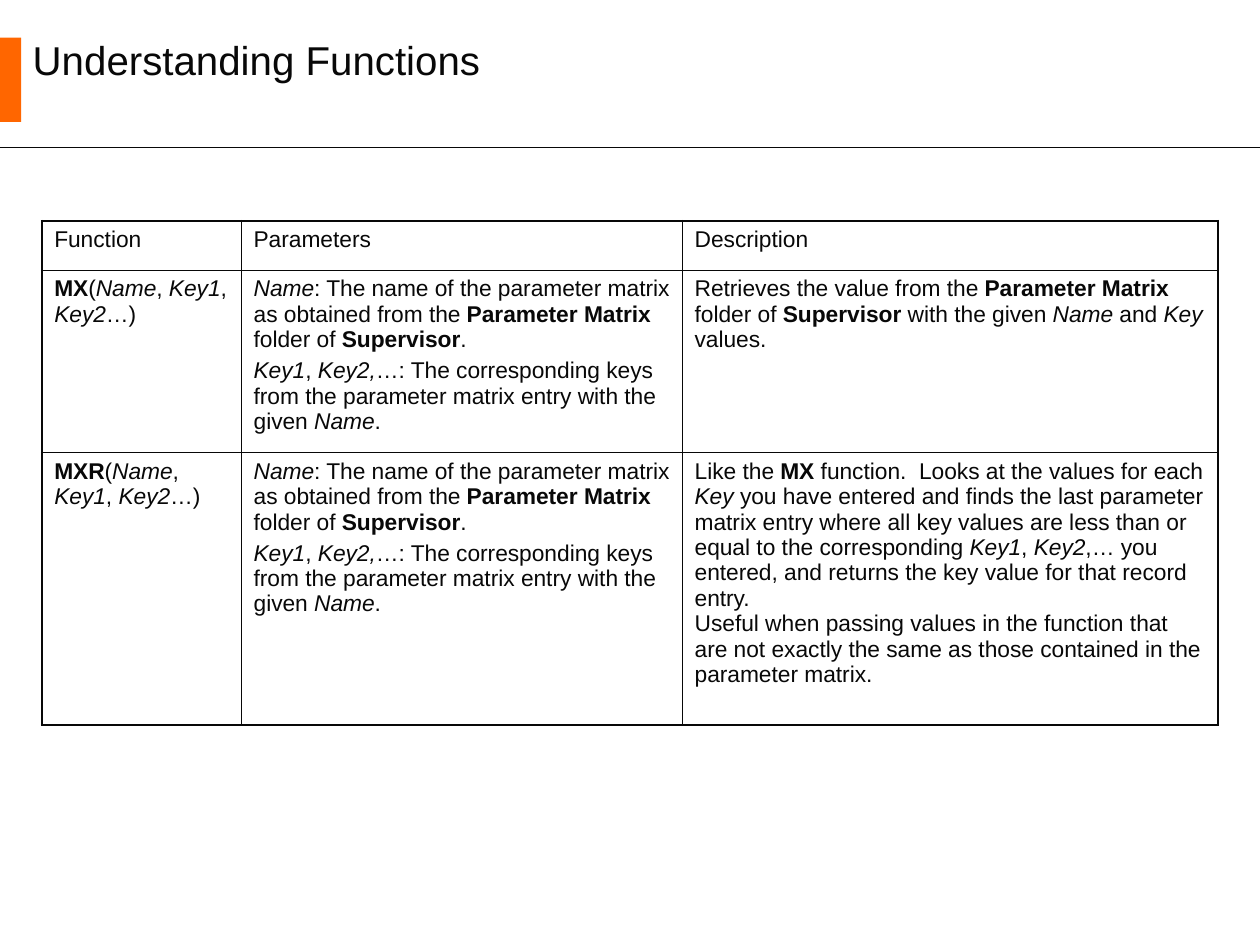
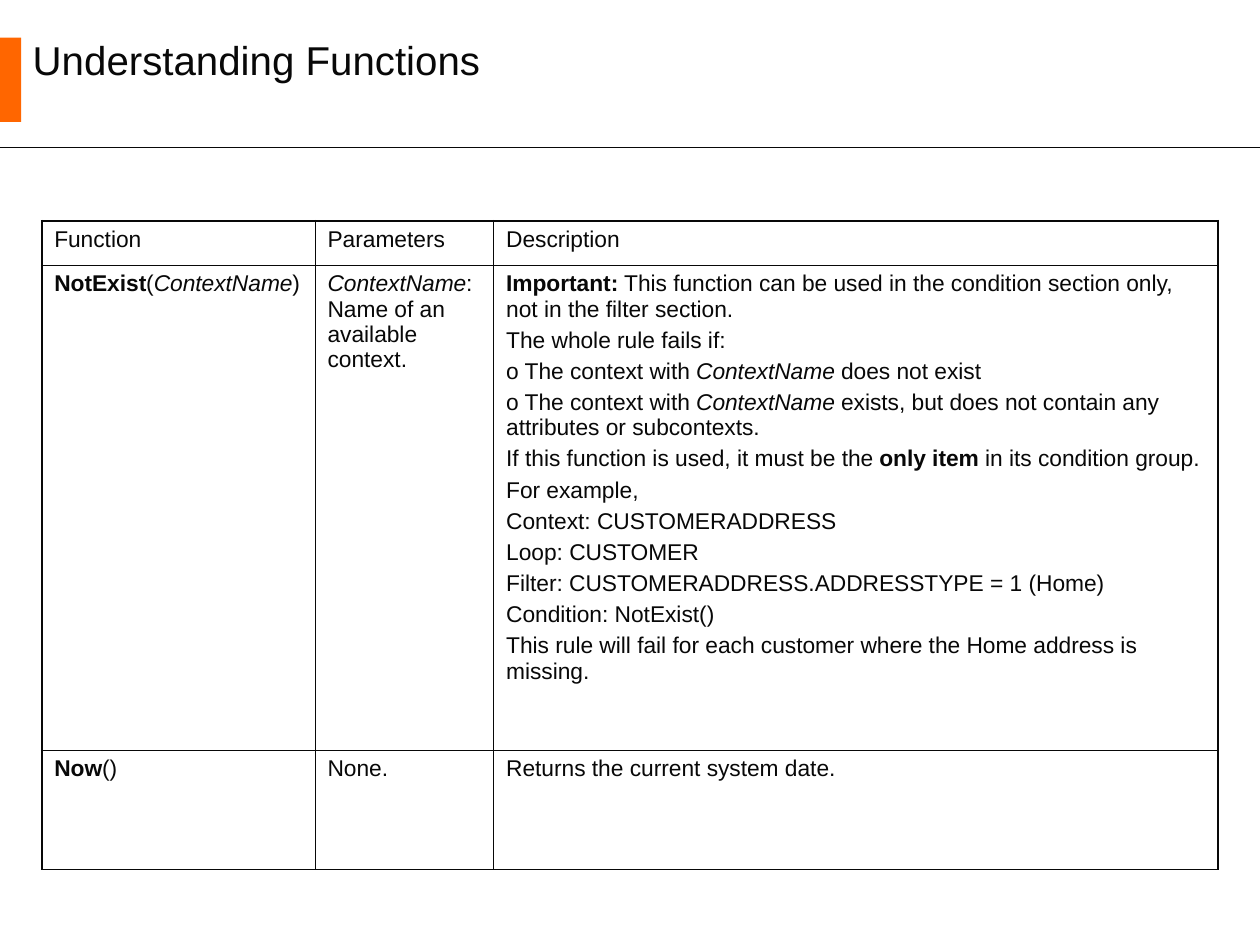
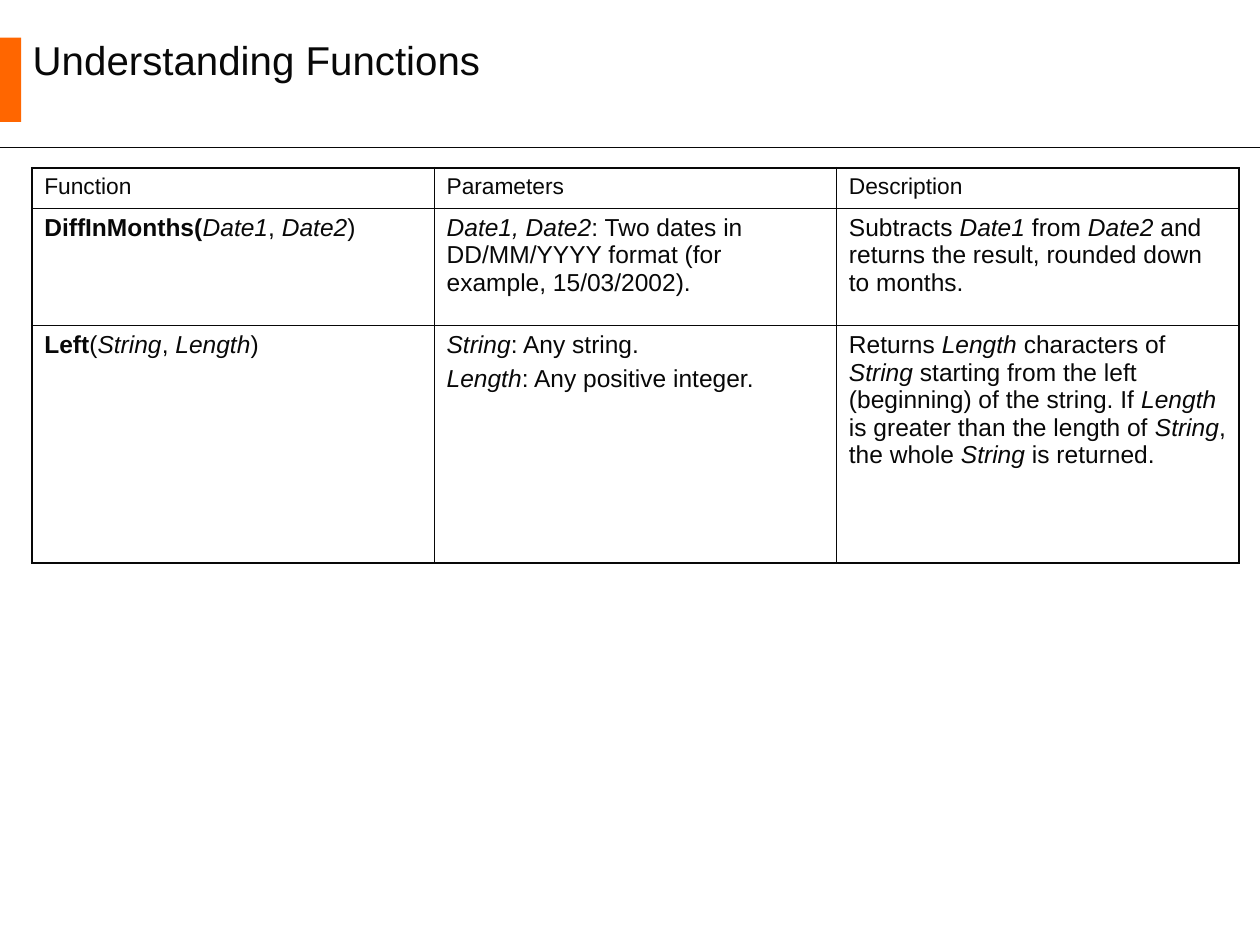
from lxml import etree
from pptx import Presentation
from pptx import util as u
from pptx.dml.color import RGBColor
from pptx.enum import shapes, text
from pptx.oxml import ns

INK = RGBColor(0x08, 0x08, 0x08)
ORANGE = RGBColor(0xFF, 0x66, 0x00)
FONT = "Arial"
WIDE, HIGH = 25.4, 19.05
THIN, THICK = 0.45, 1.08
HEAD = ["Function", "Parameters", "Description"]

# Cell text: *bold*, _italic_, one line for each paragraph
MATRIX = (
    "_Name_: The name of the parameter matrix as obtained from the "
    "*Parameter Matrix* folder of *Supervisor*.\n"
    "_Key1_, _Key2,_…: The corresponding keys from the parameter matrix "
    "entry with the given _Name_."
)
LOOKUP = [
    ["*MX*(_Name_, _Key1_, _Key2_…)", MATRIX,
     "Retrieves the value from the *Parameter Matrix* folder of *Supervisor* "
     "with the given _Name _and _Key_ values."],
    ["*MXR*(_Name_, _Key1_, _Key2_…)", MATRIX,
     "Like the *MX* function.  Looks at the values for each _Key_ you have "
     "entered and finds the last parameter matrix entry where all key values "
     "are less than or equal to the corresponding _Key1_, _Key2_,… you "
     "entered, and returns the key value for that record entry.\n"
     "Useful when passing values in the function that are not exactly the "
     "same as those contained in the parameter matrix."],
]
CONTEXT = [
    ["*NotExist*(_ContextName_)",
     "_ContextName_: Name of an available context.",
     "*Important:* This function can be used in the condition section only, "
     "not in the filter section.\n"
     "The whole rule fails if:\n"
     "o The context with _ContextName_ does not exist\n"
     "o The context with _ContextName_ exists, but does not contain any "
     "attributes or subcontexts.\n"
     "If this function is used, it must be the *only item* in its condition "
     "group.\n"
     "For example,\n"
     "Context: CUSTOMERADDRESS\n"
     "Loop: CUSTOMER\n"
     "Filter: CUSTOMERADDRESS.ADDRESSTYPE = 1 (Home)\n"
     "Condition: NotExist()\n"
     "This rule will fail for each customer where the Home address is missing."],
    ["*Now*()", "None.", "Returns the current system date."],
]
DATES = [
    ["*DiffInMonths(*_Date1_, _Date2_)",
     "_Date1, Date2_: Two dates in DD/MM/YYYY format (for example, 15/03/2002).",
     "Subtracts _Date1_ from _Date2_ and returns the result, rounded down to "
     "months."],
    ["*Left*(_String_, _Length_)",
     "_String_: Any string.\n_Length_: Any positive integer.",
     "Returns _Length_ characters of _String_ starting from the left "
     "(beginning) of the string. If _Length_ is greater than the length of "
     "_String_, the whole _String_ is returned."],
]


def style(run, size, bold=False, slant=False):
    font = run.font
    font.name, font.size, font.color.rgb = FONT, u.Pt(size), INK
    font.bold, font.italic = bold, slant


def write(para, line, size):
    """Fill a paragraph with runs marked *bold* and _italic_."""
    for i, chunk in enumerate(line.split("*")):
        for j, part in enumerate(chunk.split("_")):
            if part:
                run = para.add_run()
                run.text = part
                style(run, size, i % 2 == 1, j % 2 == 1)


def edge(cell, side, width):
    props = cell._tc.get_or_add_tcPr()
    line = etree.SubElement(props, ns.qn("a:ln" + side), w=str(u.Pt(width)))
    fill = etree.SubElement(line, ns.qn("a:solidFill"))
    etree.SubElement(fill, ns.qn("a:srgbClr"), val=str(INK))


def header(slide, title):
    # Orange band
    band = slide.shapes.add_shape(
        shapes.MSO_SHAPE.RECTANGLE, 0, u.Cm(0.76), u.Cm(0.43), u.Cm(1.7))
    band.shadow.inherit = False
    band.fill.solid()
    band.fill.fore_color.rgb = ORANGE
    band.line.fill.background()

    # Rule across the slide
    rule = slide.shapes.add_connector(
        shapes.MSO_CONNECTOR.STRAIGHT, 0, u.Cm(2.97), u.Cm(WIDE), u.Cm(2.97))
    rule.line.color.rgb, rule.line.width = INK, u.Pt(0.75)
    etree.SubElement(rule._element.spPr, ns.qn("a:effectLst"))

    # Title
    box = slide.shapes.add_textbox(u.Cm(0.41), u.Cm(0.53), u.Cm(17.7), u.Cm(1.32))
    frame = box.text_frame
    frame.word_wrap = True
    frame.vertical_anchor = text.MSO_ANCHOR.MIDDLE
    frame.text = title
    style(frame.paragraphs[0].runs[0], 23)


def grid(slide, left, top, cols, rows, body, size, gaps):
    """Draw a function table; gaps holds the cells with space above lines."""
    frame = slide.shapes.add_table(
        len(rows), len(cols), u.Cm(left), u.Cm(top),
        u.Cm(sum(cols)), u.Cm(sum(rows)))
    table = frame.table
    table.first_row = table.horz_banding = False
    for col, width in zip(table.columns, cols):
        col.width = u.Cm(width)
    for row, height in zip(table.rows, rows):
        row.height = u.Cm(height)

    for r, items in enumerate([HEAD] + body):
        for c, item in enumerate(items):
            cell = table.cell(r, c)
            cell.text = item
            for para, line in zip(cell.text_frame.paragraphs, item.split("\n")):
                para.clear()
                write(para, line, size if r else 13)
                if (r, c) in gaps:
                    para.space_before = u.Pt(size / 4)
            # Thick outside, thin inside
            outer = {"L": c == 0, "R": c == len(cols) - 1,
                     "T": r == 0, "B": r == len(rows) - 1}
            for side, out in outer.items():
                edge(cell, side, THICK if out else THIN)
            cell.fill.background()


def main():
    deck = Presentation()
    deck.slide_width, deck.slide_height = u.Cm(WIDE), u.Cm(HIGH)
    all_gaps = {(r, c) for r in (1, 2) for c in range(3)}
    pages = [
        (0.84, 4.45, [4.02, 8.89, 10.8], [0.99, 3.68, 5.49], LOOKUP, 13,
         all_gaps - {(1, 2), (2, 2)}),
        (0.84, 4.45, [5.51, 3.6, 14.6], [0.89, 9.78, 2.41], CONTEXT, 13,
         all_gaps),
        (0.64, 3.38, [8.11] * 3, [0.81, 2.36, 4.8], DATES, 14,
         all_gaps - {(1, 1), (1, 2)}),
    ]
    for page in pages:
        slide = deck.slides.add_slide(deck.slide_layouts[6])
        header(slide, "Understanding Functions")
        grid(slide, *page)
    deck.save("out.pptx")


if __name__ == "__main__":
    main()
